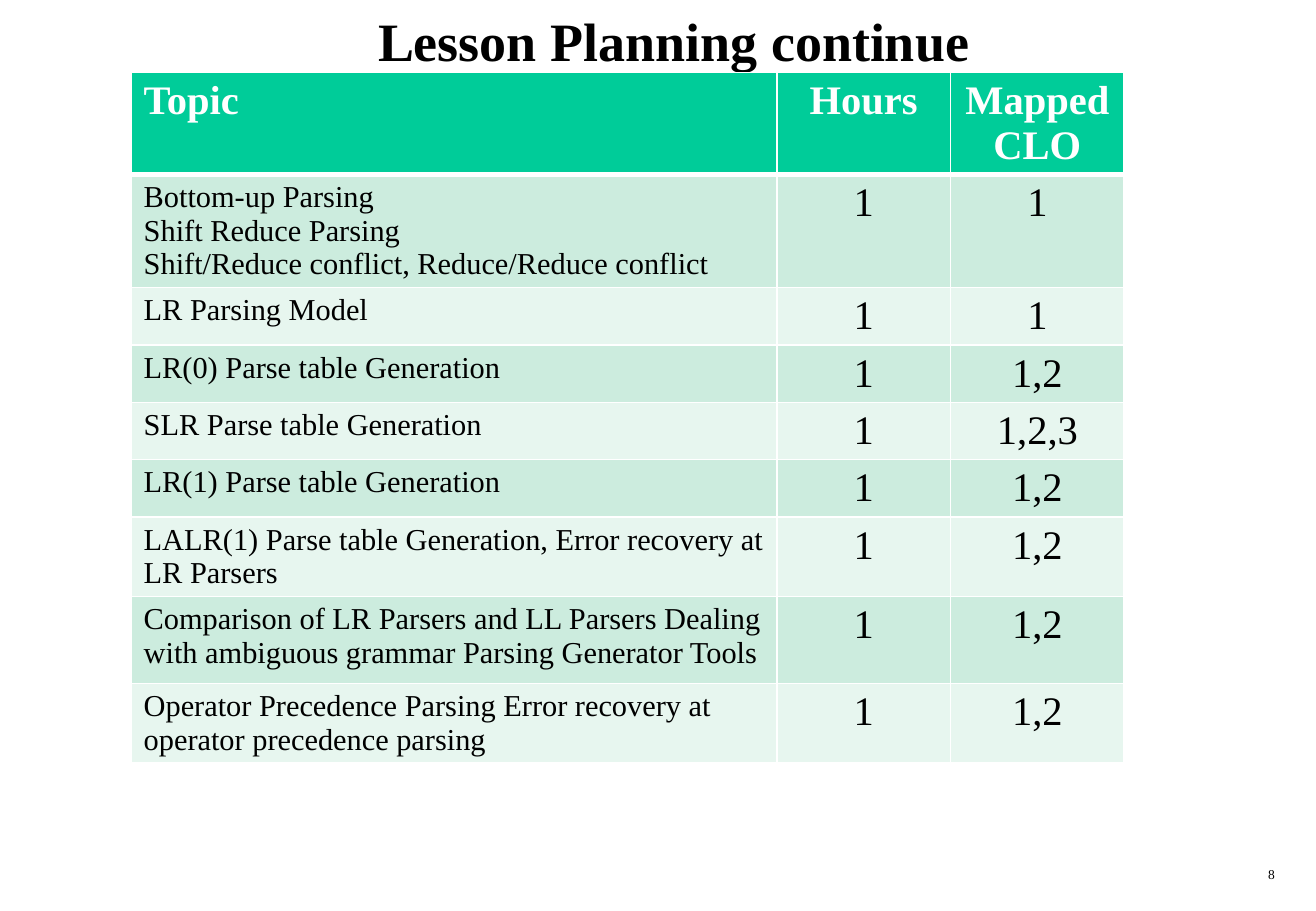
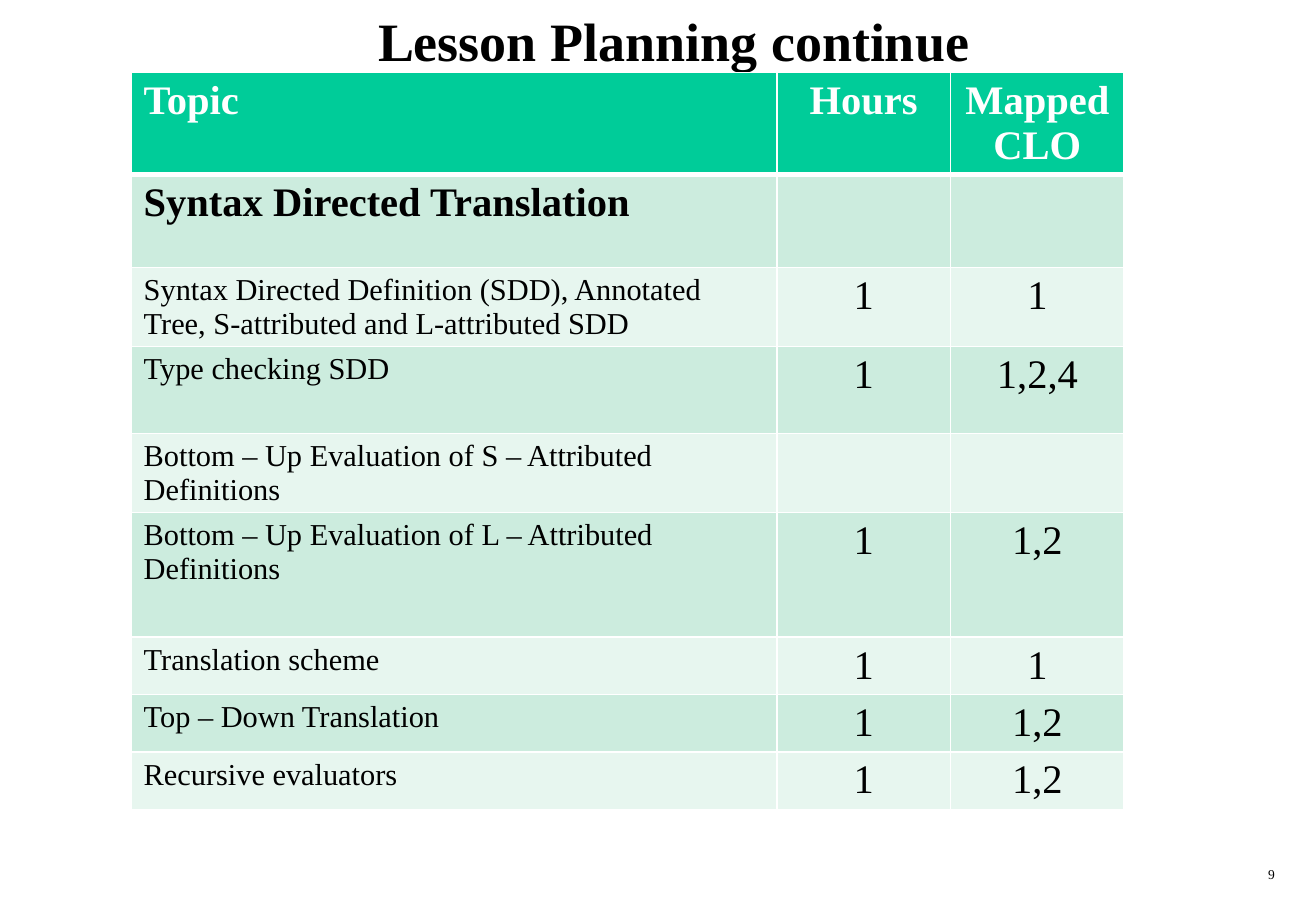
from lxml import etree
from pptx import Presentation
from pptx.dml.color import RGBColor
from pptx.enum.text import MSO_ANCHOR, MSO_AUTO_SIZE, PP_ALIGN
from pptx.oxml.ns import qn
from pptx.util import Cm, Pt

LEFT, CENTER, RIGHT = PP_ALIGN.LEFT, PP_ALIGN.CENTER, PP_ALIGN.RIGHT
TOP, MIDDLE = MSO_ANCHOR.TOP, MSO_ANCHOR.MIDDLE
NO_AUTOFIT = MSO_AUTO_SIZE.NONE

BLACK = RGBColor(0x00, 0x00, 0x00)
WHITE = RGBColor(0xFF, 0xFF, 0xFF)
GREEN = RGBColor(0x00, 0xCC, 0x99)
BANDS = (RGBColor(0xCC, 0xEC, 0xDE), RGBColor(0xE7, 0xF6, 0xEF))

FONT = "Times New Roman"
TITLE = "Lesson Planning continue"
HEADER = ("Topic", "Hours", "Mapped CLO")
COLUMN_WIDTHS = (13.49, 3.63, 3.63)
HEADER_HEIGHT = 2.13
ONE_LINE, TWO_LINES = 1.2, 1.66

# Each row: height in cm, topic, hours, mapped CLO
BOTTOM_UP_ROWS = [
    (2.36, "Bottom-up Parsing\nShift Reduce Parsing\n"
           "Shift/Reduce conflict, Reduce/Reduce conflict", "1", "1"),
    (ONE_LINE, "LR Parsing Model", "1", "1"),
    (ONE_LINE, "LR(0) Parse table Generation", "1", "1,2"),
    (ONE_LINE, "SLR Parse table Generation", "1", "1,2,3"),
    (ONE_LINE, "LR(1) Parse table Generation", "1", "1,2"),
    (TWO_LINES, "LALR(1) Parse table Generation, Error recovery at LR Parsers",
     "1", "1,2"),
    (1.82, "Comparison of LR Parsers and LL Parsers Dealing with ambiguous "
           "grammar Parsing Generator Tools", "1", "1,2"),
    (TWO_LINES, "Operator Precedence Parsing Error recovery at operator "
                "precedence parsing", "1", "1,2"),
]
TRANSLATION_HEADING = "Syntax Directed Translation"
TRANSLATION_ROWS = [
    (1.94, TRANSLATION_HEADING, "", ""),
    (TWO_LINES, "Syntax Directed Definition (SDD), Annotated Tree, "
                "S-attributed and L-attributed SDD", "1", "1"),
    (1.81, "Type checking SDD", "1", "1,2,4"),
    (TWO_LINES, "Bottom – Up Evaluation of S – Attributed Definitions", "", ""),
    (2.6, "Bottom – Up Evaluation of L – Attributed Definitions", "1", "1,2"),
    (ONE_LINE, "Translation scheme", "1", "1"),
    (ONE_LINE, "Top – Down Translation", "1", "1,2"),
    (ONE_LINE, "Recursive evaluators", "1", "1,2"),
]


def set_borders(cell, **widths):
    """Draw white borders; widths are points for L, R, T and B."""
    tcPr = cell._tc.get_or_add_tcPr()
    for i, side in enumerate("LRTB"):
        ln = etree.Element(qn(f"a:ln{side}"), w=str(Pt(widths.get(side, 1))))
        fill = etree.SubElement(ln, qn("a:solidFill"))
        etree.SubElement(fill, qn("a:srgbClr"), val=str(WHITE))
        tcPr.insert(i, ln)


class LessonDeck:
    def __init__(self):
        self.prs = Presentation()
        self.prs.slide_width, self.prs.slide_height = Cm(27.51), Cm(19.05)
        self.s = None

    def paragraph(self, tf, text, size, align, color=BLACK, bold=False):
        p = tf.paragraphs[0]
        p.text = text
        p.alignment = align
        p.font.name, p.font.size = FONT, Pt(size)
        p.font.bold, p.font.color.rgb = bold, color

    def text(self, box, text, size, align, anchor=TOP, bold=False):
        tf = self.s.shapes.add_textbox(*map(Cm, box)).text_frame
        tf.word_wrap, tf.auto_size = True, NO_AUTOFIT
        tf.vertical_anchor = anchor
        self.paragraph(tf, text, size, align, bold=bold)

    def table(self, rows):
        rows = [(HEADER_HEIGHT, *HEADER), *rows]
        height = sum(row[0] for row in rows)
        table = self.s.shapes.add_table(
            len(rows), len(HEADER), Cm(2.75), Cm(1.52),
            Cm(sum(COLUMN_WIDTHS)), Cm(height)).table
        table.horz_banding = False
        for column, width in zip(table.columns, COLUMN_WIDTHS):
            column.width = Cm(width)
        for r, (row_height, *texts) in enumerate(rows):
            table.rows[r].height = Cm(row_height)
            for c, text in enumerate(texts):
                self.cell(table.cell(r, c), text, r, c)

    def cell(self, cell, text, r, c):
        is_header = r == 0
        bold = is_header or text == TRANSLATION_HEADING
        cell.fill.solid()
        cell.fill.fore_color.rgb = GREEN if is_header else BANDS[(r - 1) % 2]
        set_borders(cell, T=3 if r == 1 else 1, B=3 if is_header else 1)
        if text:
            self.paragraph(cell.text_frame, text, 24 if bold or c else 18,
                           CENTER if c else LEFT,
                           WHITE if is_header else BLACK, bold)

    def lesson_slide(self, number, rows):
        self.s = self.prs.slides.add_slide(self.prs.slide_layouts[6])
        self.text((1.07, 0.2, 26.04, 1.27), TITLE, 32, CENTER, MIDDLE, True)
        self.table(rows)
        self.text((21.16, 17.98, 5.74, 0.64), str(number), 8, RIGHT)


def main():
    deck = LessonDeck()
    for number, rows in enumerate((BOTTOM_UP_ROWS, TRANSLATION_ROWS), 8):
        deck.lesson_slide(number, rows)
    deck.prs.save("out.pptx")


if __name__ == "__main__":
    main()
